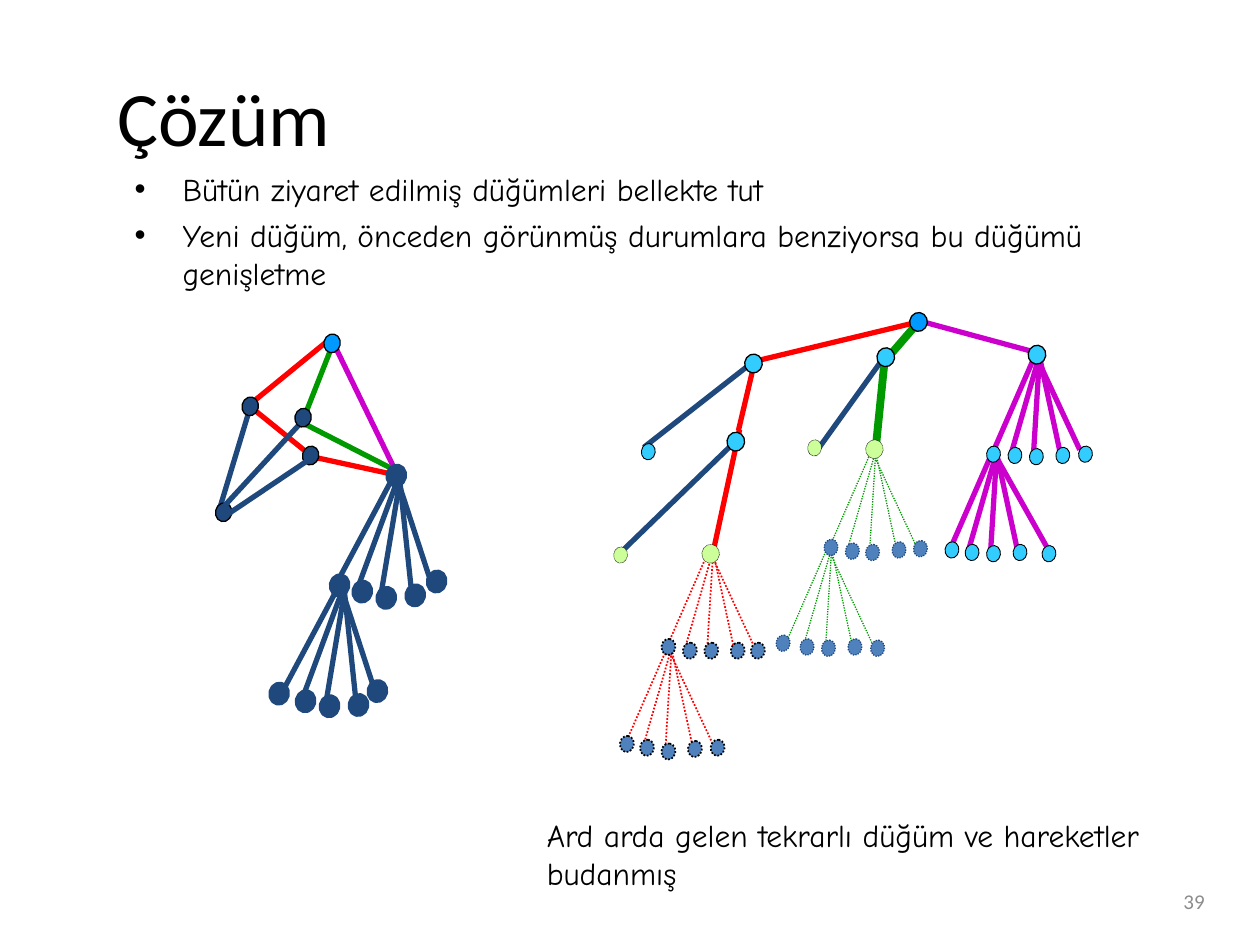
from dataclasses import dataclass
from lxml.etree import SubElement
from pptx import Presentation
from pptx.dml.color import RGBColor
from pptx.enum.dml import MSO_LINE_DASH_STYLE as Dash
from pptx.enum.shapes import MSO_CONNECTOR as Link, MSO_SHAPE as Form
from pptx.enum.text import MSO_ANCHOR as Anchor, PP_ALIGN as Align
from pptx.oxml.ns import qn
from pptx.util import Inches, Pt

COLUMNS, ROWS = 1000, 750


@dataclass(frozen=True)
class Theme:
    """Colours, fonts and type sizes of the slide."""
    ink: str = "000000"
    muted: str = "8C8C8C"
    navy: str = "1F497D"
    steel: str = "4F81BD"
    azure: str = "0099FF"
    sky: str = "33CCFF"
    lime: str = "CCFF99"
    red: str = "FF0000"
    green: str = "009900"
    purple: str = "CC00CC"
    heading_font: str = "Calibri"
    body_font: str = "Comic Neue"
    title_size: float = 44
    body_size: float = 18
    number_size: float = 12


THEME = Theme()
SMALL, LARGE, GRAPH = (13, 11, 98), (14, 15, 188), (15, 13, 102.7)
EDGES = {
    "navy": (THEME.navy, 3), "red": (THEME.red, 3), "green": (THEME.green, 3),
    "purple": (THEME.purple, 3), "thick": (THEME.green, 4.5),
    "green cut": (THEME.green, 0.75, Dash.ROUND_DOT),
    "red cut": (THEME.red, 1, Dash.ROUND_DOT),
}
NODES = {
    "start": (GRAPH, THEME.azure, THEME.ink, 0.75),
    "visited": (GRAPH, THEME.navy, THEME.ink, 0.75),
    "graph": (GRAPH, THEME.navy, THEME.navy, 3),
    "root": (LARGE, THEME.azure, THEME.ink, 0.75),
    "branch": (LARGE, THEME.sky, THEME.ink, 0.75),
    "leaf": (SMALL, THEME.sky, THEME.ink, 0.5),
    "repeat": (SMALL, THEME.lime, THEME.ink, 0.25, Dash.ROUND_DOT),
    "repeat hub": (LARGE, THEME.lime, THEME.ink, 0.25, Dash.ROUND_DOT),
    "green cut": (SMALL, THEME.steel, THEME.navy, 0.75, Dash.ROUND_DOT),
    "red cut": (SMALL, THEME.steel, THEME.ink, 1, Dash.ROUND_DOT),
}
GRAPH_FAN = [(4, 3, -12, 99), (3, 2, -31, 94), (0, 0, -48, 90), (0, 1, 30, 93), (3, 3, 13, 98)]
TREE_FAN = [(3, 2, -2, 83), (3, 1, -20, 81), (0, 0, -34, 78), (0, 1, 35, 76), (3, 2, 20, 81)]
WIDE_FAN = TREE_FAN[:3] + [(0, 0, 45, 80)] + TREE_FAN[4:]


def assign(target, values):
    """Set each named value on the target."""
    for name, value in values.items():
        setattr(target, name, value)


class Board:
    """Draws elements on the current slide, measured in grid cells."""

    def __init__(self, deck, theme):
        """Add a title-only slide and work out the cell size."""
        self.theme = theme
        self.slide = deck.slides.add_slide(deck.slide_layouts[5])
        self.column, self.row = deck.slide_width / COLUMNS, deck.slide_height / ROWS

    def place(self, *cells):
        """Turn alternating columns and rows into lengths."""
        return [round(cell * (self.row if i % 2 else self.column)) for i, cell in enumerate(cells)]

    def stroke(self, line, colour, width, dash=None):
        """Format an outline."""
        line.color.rgb = RGBColor.from_string(colour)
        assign(line, {"width": Pt(width), "dash_style": dash})

    def typeset(self, frame, lines, font, size, colour, frame_format, align=Align.LEFT, gap=0):
        """Fill a text frame with evenly formatted paragraphs."""
        assign(frame, {"word_wrap": True, **frame_format})
        frame.text = "\n".join(lines)
        for paragraph in frame.paragraphs:
            assign(paragraph, {"alignment": align, "space_after": Pt(gap)})
            assign(paragraph.runs[0].font, {"name": font, "size": Pt(size)})
            paragraph.runs[0].font.color.rgb = RGBColor.from_string(colour)
        return frame

    def title(self, box, words):
        """Move and format the title placeholder."""
        heading = self.slide.shapes.title
        assign(heading, dict(zip(("left", "top", "width", "height"), self.place(*box))))
        self.typeset(heading.text_frame, [words], self.theme.heading_font, self.theme.title_size,
                     self.theme.ink, {"vertical_anchor": Anchor.MIDDLE})

    def text(self, box, lines, font, size, colour, frame_format, **layout):
        """Add a text box."""
        frame = self.slide.shapes.add_textbox(*self.place(*box)).text_frame
        return self.typeset(frame, lines, font, size, colour, frame_format, **layout)

    def bullets(self, box, lines, top):
        """Add a bulleted list with hanging indents."""
        frame = self.text(box, lines, self.theme.body_font, self.theme.body_size,
                          self.theme.ink, {"margin_top": top}, gap=4.5)
        hang = Inches(0.38)
        for paragraph in frame.paragraphs:
            properties = paragraph._p.get_or_add_pPr()
            properties.set("marL", str(hang))
            properties.set("indent", str(-hang))
            SubElement(properties, qn("a:buFont"), typeface="Arial")
            SubElement(properties, qn("a:buChar"), char="•")

    def edges(self, kind, *spans):
        """Draw straight edges of one kind."""
        for span in spans:
            edge = self.slide.shapes.add_connector(Link.STRAIGHT, *self.place(*span))
            self.stroke(edge.line, *EDGES[kind])
            SubElement(edge._element.spPr, qn("a:effectLst"))

    def nodes(self, kind, *corners):
        """Draw nodes of one kind at their top left cells."""
        (width, height, turn), fill, *outline = NODES[kind]
        for corner in corners:
            node = self.slide.shapes.add_shape(Form.OVAL, *self.place(*corner, width, height))
            node.rotation = turn
            node.shadow.inherit = False
            node.fill.solid()
            node.fill.fore_color.rgb = RGBColor.from_string(fill)
            self.stroke(node.line, *outline)

    def fan(self, edge, node, hub, spread, *children):
        """Draw edges spreading from a hub, then the child nodes."""
        x, y = hub
        self.edges(edge, *((x + a, y + b, x + c, y + d) for a, b, c, d in spread))
        self.nodes(node, *children)


def draw_graph(board):
    """Draw the state graph on the left."""
    board.edges("purple", (265, 273, 316, 378))
    board.edges("red", (262, 269, 202, 318), (199, 323, 246, 361))
    board.edges("navy", (199, 322, 173, 408))
    board.nodes("visited", (191, 316))
    board.fan("navy", "graph", (314, 375), GRAPH_FAN,
              (339, 455), (322, 466), (299, 468), (280, 463))
    board.fan("navy", "graph", (270, 463), GRAPH_FAN,
              (292, 542), (277, 553), (254, 554), (235, 550), (214, 544), (262, 458))
    board.edges("green", (239, 335, 317, 375), (265, 271, 243, 327))
    board.nodes("visited", (170, 400))
    board.nodes("start", (256, 266))
    board.edges("red", (319, 378, 250, 363))
    board.nodes("visited", (239, 355))
    board.edges("navy", (248, 363, 178, 410), (243, 331, 174, 406))
    board.nodes("graph", (307, 371))
    board.nodes("visited", (233, 325))


def draw_tree(board):
    """Draw the pruned search tree on the right."""
    board.edges("red", (587, 341, 566, 438))
    board.edges("thick", (727, 258, 701, 288), (703, 277, 695, 356))
    board.edges("purple", (731, 255, 827, 281))
    board.fan("purple", "leaf", (822, 281), TREE_FAN,
              (855, 355), (837, 356), (816, 357), (799, 356))
    board.nodes("branch", (816, 274))
    board.fan("purple", "leaf", (788, 358), WIDE_FAN,
              (826, 434), (803, 433), (782, 434), (765, 433), (749, 431), (782, 355))
    board.fan("green cut", "green cut", (692, 357), TREE_FAN,
              (724, 430), (707, 431), (686, 433), (670, 432))
    board.fan("green cut", "green cut", (657, 434), TREE_FAN,
              (690, 509), (672, 508), (651, 509), (634, 508), (615, 505), (653, 429))
    board.nodes("repeat hub", (687, 349))
    board.fan("red cut", "red cut", (563, 436), TREE_FAN,
              (595, 511), (579, 511), (558, 511), (541, 511))
    board.fan("red cut", "red cut", (530, 513), TREE_FAN,
              (563, 588), (545, 589), (524, 591), (507, 588), (491, 585), (524, 508))
    board.nodes("repeat hub", (557, 432))
    board.edges("navy", (702, 283, 646, 361))
    board.nodes("branch", (696, 276))
    board.nodes("repeat", (640, 350))
    board.edges("red", (735, 254, 598, 287), (586, 342, 599, 287))
    board.edges("navy", (585, 349, 489, 442))
    board.nodes("repeat", (486, 435))
    board.nodes("root", (722, 248))
    board.edges("navy", (598, 287, 511, 355))
    board.nodes("leaf", (508, 353))
    board.nodes("branch", (591, 281), (577, 343))


def main():
    """Build and save the slide."""
    deck = Presentation()
    assign(deck, {"slide_width": Inches(10), "slide_height": Inches(7.5)})
    board = Board(deck, THEME)
    board.title((83, 29, 883, 125), "Çözüm")
    board.text((733, 695, 233, 40), ["39"], THEME.heading_font, THEME.number_size, THEME.muted,
               {"vertical_anchor": Anchor.MIDDLE}, align=Align.RIGHT)
    board.bullets((97, 84, 878, 515), [
        "Bütün ziyaret edilmiş düğümleri bellekte tut",
        "Yeni düğüm, önceden görünmüş durumlara benziyorsa bu düğümü genişletme",
    ], Inches(0.51))
    draw_graph(board)
    draw_tree(board)
    board.text((374, 643, 597, 70), ["Ard arda gelen tekrarlı düğüm ve hareketler budanmış"],
               THEME.body_font, THEME.body_size, THEME.ink, {"margin_left": Inches(0.6)})
    deck.save("out.pptx")


if __name__ == "__main__":
    main()
